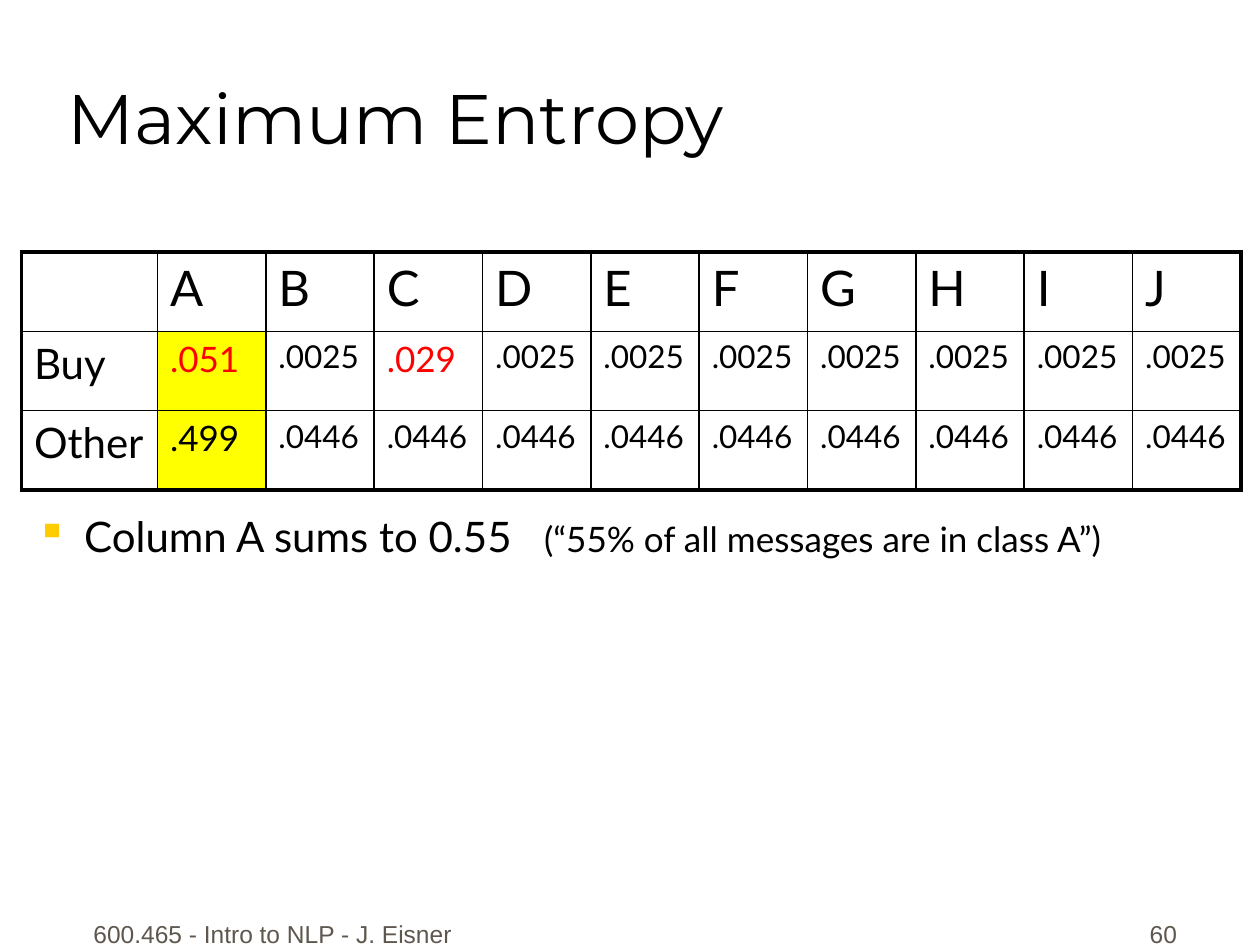
from dataclasses import dataclass

from lxml.etree import SubElement
from pptx import Presentation
from pptx.dml.color import RGBColor
from pptx.enum.text import MSO_ANCHOR, PP_ALIGN
from pptx.oxml.ns import qn
from pptx.util import Inches, Pt

BLACK, RED, YELLOW, GREY, GOLD = "000000", "FF0000", "FFFF00", "5E574E", "FFCC00"
THICK, THIN = 2.25, 1


@dataclass
class Entry:
    text: str
    size: float
    color: str = BLACK
    fill: str = ""


def rgb(value: str) -> RGBColor:
    return RGBColor.from_string(value)


def write(paragraph, text: str, *, size: float, font: str = "Lato",
          color: str = BLACK, align=PP_ALIGN.LEFT) -> None:
    """Append one formatted run to a paragraph."""
    paragraph.alignment = align
    run = paragraph.add_run()
    run.text = text
    run.font.size = Pt(size)
    run.font.name = font
    run.font.color.rgb = rgb(color)


def add_frame(slide, left: float, top: float, width: float, height: float,
              anchor=MSO_ANCHOR.BOTTOM):
    frame = slide.shapes.add_textbox(
        Inches(left), Inches(top), Inches(width), Inches(height)).text_frame
    frame.word_wrap = True
    frame.vertical_anchor = anchor
    return frame.paragraphs[0]


def add_border(cell, side: str, width: float) -> None:
    properties = cell._tc.get_or_add_tcPr()
    line = SubElement(properties, qn(f"a:ln{side}"), w=str(Pt(width)))
    solid = SubElement(line, qn("a:solidFill"))
    SubElement(solid, qn("a:srgbClr"), val=BLACK)


def add_probability_table(slide, rows: list[list[Entry]]) -> None:
    last_row, last_column = len(rows) - 1, len(rows[0]) - 1
    table = slide.shapes.add_table(
        len(rows), len(rows[0]), Inches(0.17), Inches(2),
        Inches(9.67), Inches(1.89)).table
    table.first_row = table.horz_banding = False
    for index, column in enumerate(table.columns):
        column.width = Inches(0.86 if index else 1.08)
    for r, entries in enumerate(rows):
        table.rows[r].height = Inches(0.63)
        for c, entry in enumerate(entries):
            cell = table.cell(r, c)
            outer_edges = {"L": c == 0, "R": c == last_column,
                           "T": r == 0, "B": r == last_row}
            for side, is_outer in outer_edges.items():
                add_border(cell, side, THICK if is_outer else THIN)
            if entry.fill:
                cell.fill.solid()
                cell.fill.fore_color.rgb = rgb(entry.fill)
            else:
                cell.fill.background()
            if entry.text:
                write(cell.text_frame.paragraphs[0], entry.text,
                      size=entry.size, color=entry.color)


def add_bullet(paragraph, symbol: str, color: str, indent: float, tab: float) -> None:
    properties = paragraph._p.get_or_add_pPr()
    properties.set("marL", str(Inches(indent)))
    properties.set("indent", str(-Inches(indent)))
    bullet_color = SubElement(properties, qn("a:buClr"))
    SubElement(bullet_color, qn("a:srgbClr"), val=color)
    SubElement(properties, qn("a:buChar"), char=symbol)
    tabs = SubElement(properties, qn("a:tabLst"))
    SubElement(tabs, qn("a:tab"), pos=str(Inches(tab)), algn="l")


def main() -> None:
    presentation = Presentation()
    presentation.slide_width, presentation.slide_height = Inches(10), Inches(7.5)
    slide = presentation.slides.add_slide(presentation.slide_layouts[6])

    write(add_frame(slide, 0.58, 7.08, 3.17, 0.5), "600.465 - Intro to NLP - J. Eisner",
          size=14, font="Arial", color=GREY, align=PP_ALIGN.CENTER)
    write(add_frame(slide, 7.36, 7.08, 2.08, 0.5), "60",
          size=14, font="Arial", color=GREY, align=PP_ALIGN.RIGHT)
    write(add_frame(slide, 0.44, 0.06, 8.5, 1.25), "Maximum Entropy",
          size=40, font="Montserrat")

    header = [Entry(letter, 28) for letter in ["", *"ABCDEFGHIJ"]]
    buy = [Entry("Buy", 24), Entry(".051", 20, RED, YELLOW), Entry(".0025", 18),
           Entry(".029", 20, RED)] + [Entry(".0025", 18)] * 7
    other = [Entry("Other", 24), Entry(".499", 20, fill=YELLOW)] + [Entry(".0446", 18)] * 9
    add_probability_table(slide, [header, buy, other])

    constraint = add_frame(slide, 0.19, 4, 9.56, 0.5, MSO_ANCHOR.TOP)
    add_bullet(constraint, "▪", GOLD, indent=0.38, tab=4.03)
    write(constraint, "Column A sums to 0.55\t", size=24)
    write(constraint, "(“55% of all messages are in class A”)", size=20)

    presentation.save("out.pptx")


if __name__ == "__main__":
    main()
